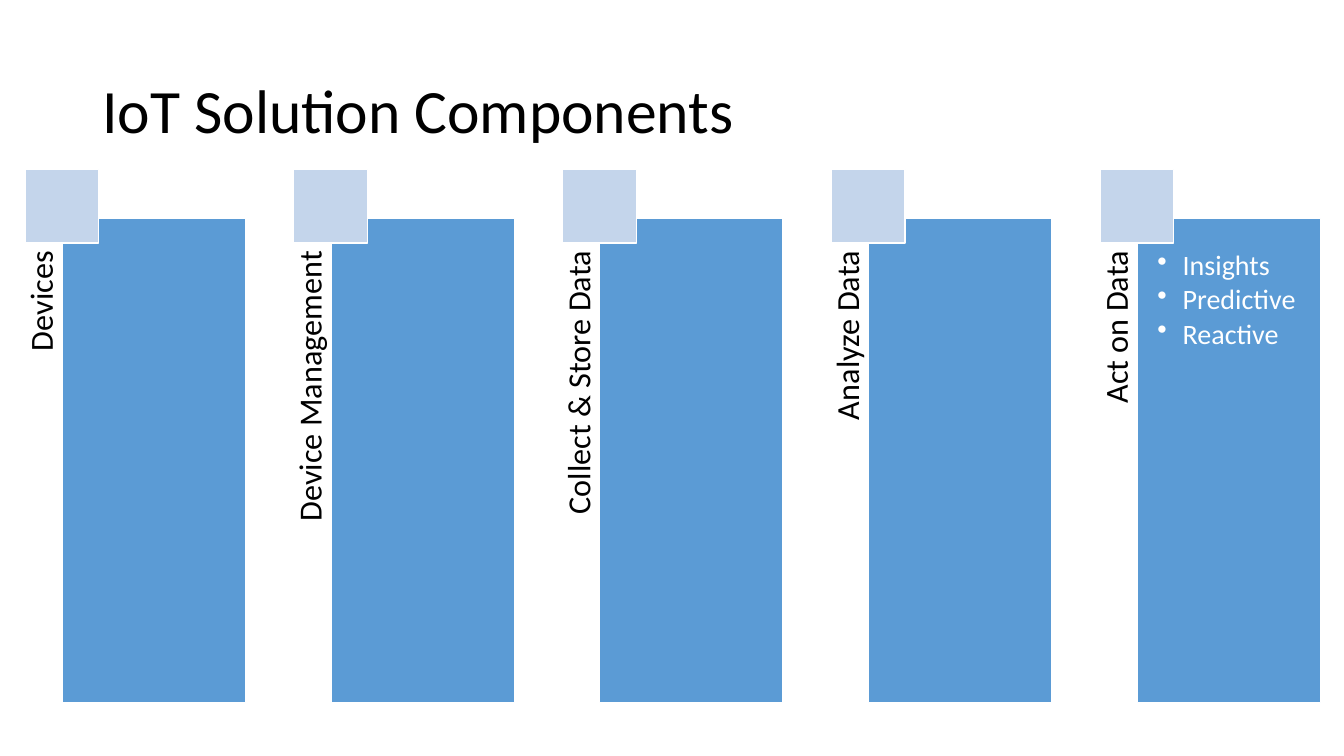
from dataclasses import dataclass

import pptx
import pptx.dml.color
import pptx.enum.shapes
import pptx.enum.text
import pptx.oxml
import pptx.oxml.ns
import pptx.util

Align = pptx.enum.text.PP_ALIGN
Anchor = pptx.enum.text.MSO_ANCHOR


@dataclass(frozen=True)
class Theme:
    font: str = "Calibri"
    ink: str = "000000"
    paper: str = "FFFFFF"
    panel: str = "5B9BD5"
    marker: str = "C4D5EB"
    title_size: int = 44
    label_size: int = 23
    bullet_size: int = 20
    line_width: int = 1
    line_spacing: float = 0.9
    bullet_gap: int = 3
    bullet_indent: float = 0.25


class SlideBuilder:
    def __init__(self, deck, theme):
        self.deck = deck
        self.theme = theme
        self.page = deck.slides.add_slide(deck.slide_layouts[5])

    def area(self, left, top, width, height):
        across = self.deck.slide_width / 100
        down = self.deck.slide_height / 100
        return [round(value) for value in
                (left * across, top * down, width * across, height * down)]

    def color(self, code):
        return pptx.dml.color.RGBColor.from_string(code)

    def frame(self, box, margins, anchor=Anchor.TOP):
        frame = box.text_frame
        frame.word_wrap = True
        frame.auto_size = pptx.enum.text.MSO_AUTO_SIZE.NONE
        frame.vertical_anchor = anchor
        (frame.margin_left, frame.margin_top,
         frame.margin_right, frame.margin_bottom) = map(pptx.util.Inches, margins)
        return frame

    def style_text(self, para, text, size, color, align=Align.LEFT):
        para.text = text
        para.alignment = align
        para.line_spacing = self.theme.line_spacing
        para.font.name = self.theme.font
        para.font.size = pptx.util.Pt(size)
        para.font.color.rgb = self.color(color)

    def title(self, text, *shares):
        box = self.page.shapes.title
        box.left, box.top, box.width, box.height = self.area(*shares)
        frame = self.frame(box, (0.1, 0.05, 0.1, 0.05), Anchor.MIDDLE)
        self.style_text(frame.paragraphs[0], text, self.theme.title_size,
                        self.theme.ink)

    def block(self, fill, *shares):
        box = self.page.shapes.add_shape(
            pptx.enum.shapes.MSO_SHAPE.RECTANGLE, *self.area(*shares))
        box.shadow.inherit = False
        box.fill.solid()
        box.fill.fore_color.rgb = self.color(fill)
        box.line.color.rgb = self.color(self.theme.paper)
        box.line.width = pptx.util.Pt(self.theme.line_width)

    def upright_label(self, text, *shares):
        left, top, width, height = self.area(*shares)
        shift = (height - width) // 2
        box = self.page.shapes.add_textbox(left - shift, top + shift, height, width)
        box.rotation = 270
        frame = self.frame(box, (0, 0, 0.32, 0))
        self.style_text(frame.paragraphs[0], text, self.theme.label_size,
                        self.theme.ink, Align.RIGHT)

    def bullets(self, items, *shares):
        box = self.page.shapes.add_textbox(*self.area(*shares))
        frame = self.frame(box, (0.2, 0.32, 0.2, 0.2))
        indent = pptx.util.Inches(self.theme.bullet_indent)
        for index, item in enumerate(items):
            para = frame.add_paragraph() if index else frame.paragraphs[0]
            para.level = 1
            properties = para._p.get_or_add_pPr()
            properties.set("marL", str(indent))
            properties.set("indent", str(-indent))
            properties.append(pptx.oxml.parse_xml(
                f'<a:buChar {pptx.oxml.ns.nsdecls("a")} char="•"/>'))
            para.space_after = pptx.util.Pt(self.theme.bullet_gap)
            self.style_text(para, item, self.theme.bullet_size, self.theme.paper)


def main():
    deck = pptx.Presentation()
    deck.slide_width = pptx.util.Inches(13.33)
    deck.slide_height = pptx.util.Inches(7.5)
    theme = Theme()
    builder = SlideBuilder(deck, theme)
    builder.title("IoT Solution Components", 6.88, 5.33, 86.25, 19.33)

    components = {
        "Devices": [],
        "Device Management": [],
        "Collect & Store Data": [],
        "Analyze Data": [],
        "Act on Data": ["Insights", "Predictive", "Reactive"],
    }
    column = 100 / len(components)
    margin, label_width, panel_width = 1.86, 2.76, 13.65
    panel_top, panel_height = 28.93, 64
    for index, (name, items) in enumerate(components.items()):
        left = margin + index * column
        panel = (left + label_width, panel_top, panel_width, panel_height)
        builder.upright_label(name, left, panel_top, label_width, panel_height)
        builder.block(theme.panel, *panel)
        if items:
            builder.bullets(items, *panel)
        builder.block(theme.marker, left, 22.4, 5.48, 9.73)

    deck.save("out.pptx")


if __name__ == "__main__":
    main()
